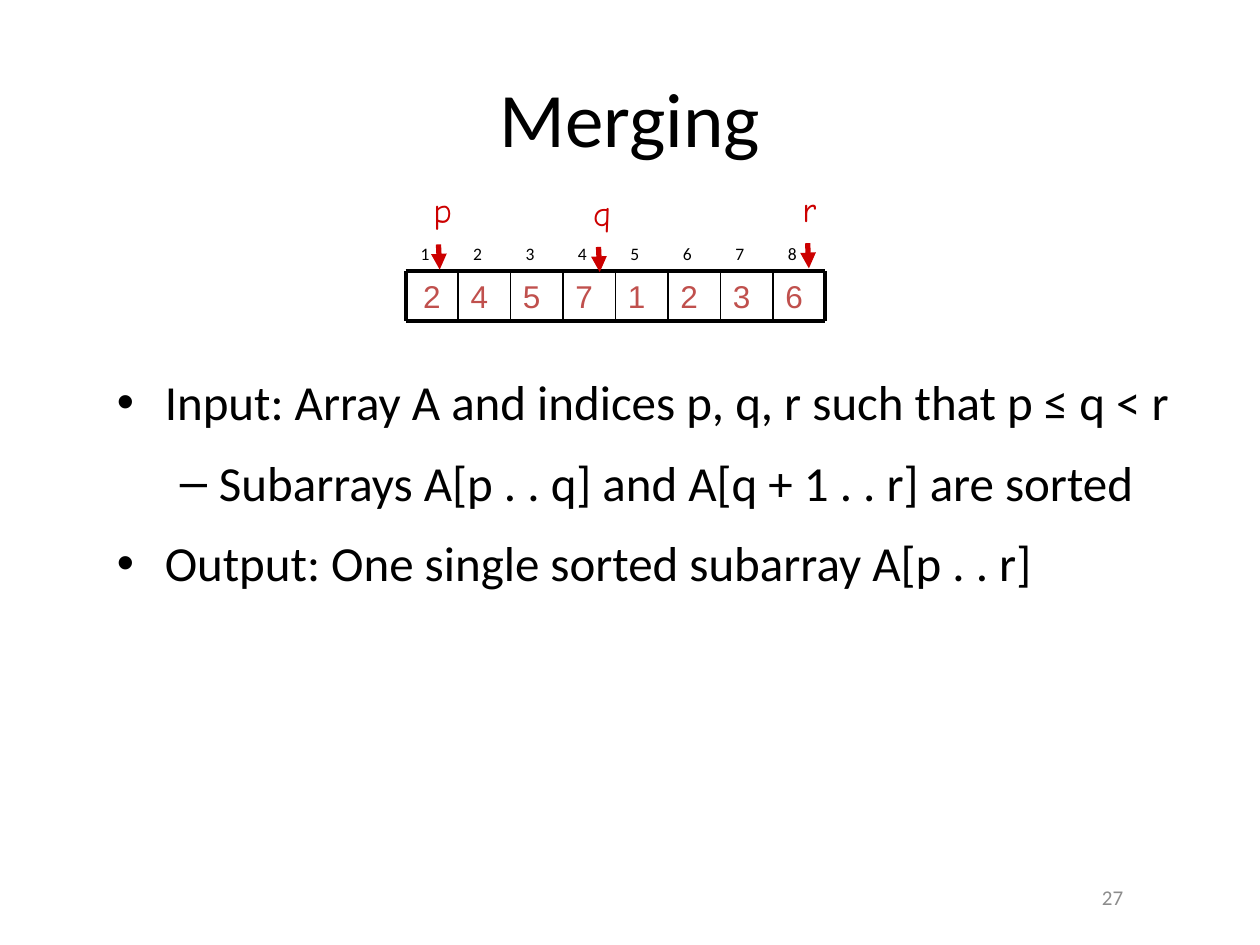
from dataclasses import dataclass

from lxml.etree import SubElement
from pptx import Presentation
from pptx.dml.color import RGBColor
from pptx.enum.shapes import MSO_CONNECTOR as Connector
from pptx.enum.text import MSO_ANCHOR as Anchor, MSO_AUTO_SIZE as AutoSize, PP_ALIGN as Align
from pptx.oxml.ns import qn
from pptx.slide import Slide
from pptx.text.text import TextFrame, _Paragraph as Paragraph
from pptx.util import Inches, Pt


@dataclass(frozen=True)
class TextStyle:
    font: str
    size: float
    color: str


@dataclass(frozen=True)
class Theme:
    title: TextStyle = TextStyle("Calibri", 44, "000000")
    body: TextStyle = TextStyle("Calibri", 28, "000000")
    index: TextStyle = TextStyle("Calibri", 10, "000000")
    value: TextStyle = TextStyle("Arial", 18, "C0504D")
    pointer: TextStyle = TextStyle("Comic Neue", 20, "CC0000")
    page: TextStyle = TextStyle("Calibri", 12, "8C8C8C")
    grid: str = "000000"
    border: float = 2.25
    divider: float = 1
    arrow: float = 3


@dataclass(frozen=True)
class Pointer:
    name: str
    left: float
    top: float
    width: float


@dataclass(frozen=True)
class Statement:
    wording: str
    level: int
    bullet: str
    margin: float
    hanging: float


THEME = Theme()
VALUES = (2, 4, 5, 7, 1, 2, 3, 6)
ARRAY_LEFT, ARRAY_TOP, ARRAY_RIGHT, ARRAY_BOTTOM = 3.22, 2.15, 6.55, 2.55
CELL_WIDTH = (ARRAY_RIGHT - ARRAY_LEFT) / len(VALUES)
POINTERS = (
    Pointer("p", 3.34, 1.45, 0.35),
    Pointer("r", 6.27, 1.44, 0.34),
    Pointer("q", 4.61, 1.47, 0.35),
)
STATEMENTS = (
    Statement("Input: Array A and indices p, q, r such that p ≤ q < r", 0, "•", 0.38, 0.38),
    Statement("Subarrays A[p . . q] and A[q + 1 . . r] are sorted", 1, "–", 0.81, 0.31),
    Statement("Output: One single sorted subarray A[p . . r]", 0, "•", 0.38, 0.38),
)


def add_run(paragraph: Paragraph, wording: str, style: TextStyle) -> None:
    """Append a styled run to a paragraph."""
    run = paragraph.add_run()
    run.text = wording
    run.font.name = style.font
    run.font.size = Pt(style.size)
    run.font.color.rgb = RGBColor.from_string(style.color)


def add_label(slide: Slide, wording: str, style: TextStyle, left: float, top: float,
              width: float, height: float, align: Align = Align.LEFT,
              anchor: Anchor = Anchor.TOP) -> TextFrame:
    """Add a one-line text box and return its frame."""
    frame = slide.shapes.add_textbox(
        Inches(left), Inches(top), Inches(width), Inches(height)).text_frame
    frame.word_wrap = True
    frame.vertical_anchor = anchor
    frame.paragraphs[0].alignment = align
    add_run(frame.paragraphs[0], wording, style)
    return frame


def add_line(slide: Slide, start: tuple[float, float], end: tuple[float, float],
             color: str, weight: float, arrow: bool = False) -> None:
    """Draw a straight line, with an arrowhead at its end if asked."""
    line = slide.shapes.add_connector(
        Connector.STRAIGHT, *(Inches(length) for length in (*start, *end)))
    line.line.color.rgb = RGBColor.from_string(color)
    line.line.width = Pt(weight)
    properties = line._element.spPr
    if arrow:
        SubElement(properties.find(qn("a:ln")), qn("a:tailEnd"), type="triangle")
    SubElement(properties, qn("a:effectLst"))


def add_title(slide: Slide) -> None:
    """Place and fill the title placeholder."""
    title = slide.shapes.title
    title.left, title.top = Inches(0.5), Inches(0.3)
    title.width, title.height = Inches(9), Inches(1.25)
    title.text_frame.vertical_anchor = Anchor.MIDDLE
    heading = title.text_frame.paragraphs[0]
    heading.alignment = Align.CENTER
    add_run(heading, "Merging", THEME.title)


def add_statements(slide: Slide) -> None:
    """Write the bulleted input and output statements."""
    frame = slide.shapes.add_textbox(
        Inches(0.83), Inches(2.81), Inches(8.67), Inches(2.93)).text_frame
    frame.word_wrap = True
    for position, statement in enumerate(STATEMENTS):
        paragraph = frame.add_paragraph() if position else frame.paragraphs[0]
        paragraph.level = statement.level
        paragraph.line_spacing = 1.2
        paragraph.space_before = Pt(THEME.body.size * 0.2)
        properties = paragraph._p.get_or_add_pPr()
        properties.set("marL", str(Inches(statement.margin)))
        properties.set("indent", str(-Inches(statement.hanging)))
        SubElement(properties, qn("a:buFont"), typeface="Arial")
        SubElement(properties, qn("a:buChar"), char=statement.bullet)
        add_run(paragraph, statement.wording, THEME.body)


def add_array(slide: Slide) -> None:
    """Draw the indexed array with its values and cell borders."""
    height = ARRAY_BOTTOM - ARRAY_TOP
    for position, value in enumerate(VALUES):
        left = ARRAY_LEFT + position * CELL_WIDTH
        align, anchor = (Align.LEFT, Anchor.TOP) if position else (Align.CENTER, Anchor.MIDDLE)
        add_label(slide, str(position + 1), THEME.index, left + 0.02, 1.88, 0.25, 0.27)
        cell = add_label(slide, str(value), THEME.value, left, ARRAY_TOP,
                         CELL_WIDTH, height, align, anchor)
        cell.paragraphs[0].space_before = Pt(THEME.value.size * 0.2)
    for edge in (ARRAY_TOP, ARRAY_BOTTOM):
        add_line(slide, (ARRAY_LEFT, edge), (ARRAY_RIGHT, edge), THEME.grid, THEME.border)
    for position in range(len(VALUES) + 1):
        left = ARRAY_LEFT + position * CELL_WIDTH
        weight = THEME.border if position in (0, len(VALUES)) else THEME.divider
        add_line(slide, (left, ARRAY_TOP), (left, ARRAY_BOTTOM), THEME.grid, weight)


def add_pointer(slide: Slide, pointer: Pointer) -> None:
    """Draw an index name with the arrow below it."""
    tail = (pointer.left + 0.14, pointer.top + 0.49)
    add_line(slide, tail, (tail[0] + 0.01, tail[1] + 0.2),
             THEME.pointer.color, THEME.arrow, arrow=True)
    frame = add_label(slide, pointer.name, THEME.pointer,
                      pointer.left, pointer.top, pointer.width, 0.43)
    frame.word_wrap = False
    frame.auto_size = AutoSize.SHAPE_TO_FIT_TEXT


def main() -> None:
    """Build and save the merging slide."""
    deck = Presentation()
    deck.slide_width, deck.slide_height = Inches(10), Inches(7.5)
    slide = deck.slides.add_slide(deck.slide_layouts[5])
    add_label(slide, "27", THEME.page, 7.83, 6.92, 2, 0.4, Align.CENTER, Anchor.MIDDLE)
    add_title(slide)
    add_statements(slide)
    add_array(slide)
    for pointer in POINTERS:
        add_pointer(slide, pointer)
    deck.save("out.pptx")


if __name__ == "__main__":
    main()
